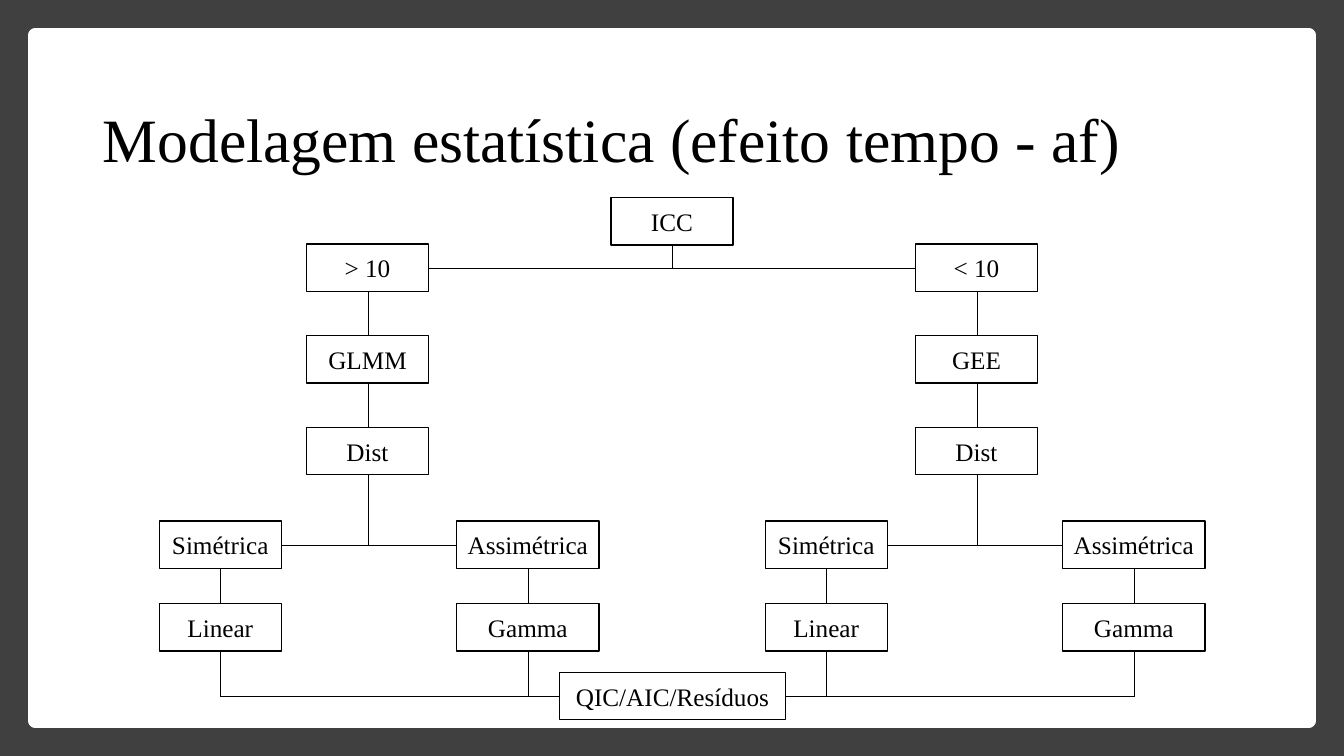
"""Build the slide with the decision tree for choosing a statistical model."""
from dataclasses import dataclass
from typing import Optional

import pptx
import pptx.dml.color
import pptx.enum.shapes
import pptx.enum.text
import pptx.oxml.ns
import pptx.shapes.autoshape
import pptx.slide
import pptx.text.text
import pptx.util
from lxml import etree

EMU_PER_PX = 9144
SLIDE_WIDTH, SLIDE_HEIGHT = 1333, 750


@dataclass(frozen=True)
class Theme:
    font: str = "Times New Roman"
    ink: str = "000000"
    frame: str = "404040"
    paper: str = "FFFFFF"
    title_size: int = 44
    node_size: int = 18
    paper_line: float = 10
    node_line: float = 1
    link_line: float = 0.5


THEME = Theme()


@dataclass(frozen=True)
class Node:
    text: str
    left: int
    top: int
    width: int = 121
    height: int = 47

    @property
    def right(self) -> int:
        return self.left + self.width

    @property
    def bottom(self) -> int:
        return self.top + self.height

    @property
    def center(self) -> int:
        return self.left + (self.width + 1) // 2

    @property
    def middle(self) -> int:
        return self.top + (self.height + 1) // 2


@dataclass(frozen=True)
class Branch:
    condition: str
    model: str
    left: int
    symmetric_left: int


BRANCHES = (Branch("> 10", "GLMM", 304, 158), Branch("< 10", "GEE", 908, 759))
STEP_TOPS = (242, 333, 424)
SPLIT_TOP, FAMILY_TOP = 517, 599
ASYMMETRIC_OFFSET, ASYMMETRIC_WIDTH = 295, 141


def px(length: int) -> pptx.util.Emu:
    return pptx.util.Emu(length * EMU_PER_PX)


def rgb(color: str) -> pptx.dml.color.RGBColor:
    return pptx.dml.color.RGBColor.from_string(color)


def write_text(frame: pptx.text.text.TextFrame, text: str, *, size: int,
               align: pptx.enum.text.PP_ALIGN, wrap: bool = False,
               line_spacing: float = 1.0) -> None:
    frame.word_wrap = wrap
    frame.vertical_anchor = pptx.enum.text.MSO_ANCHOR.MIDDLE
    paragraph = frame.paragraphs[0]
    paragraph.alignment = align
    paragraph.line_spacing = line_spacing
    run = paragraph.add_run()
    run.text = text
    run.font.name = THEME.font
    run.font.size = pptx.util.Pt(size)
    run.font.color.rgb = rgb(THEME.ink)


def add_rectangle(slide: pptx.slide.Slide, left: int, top: int, width: int, height: int, *,
                  fill: Optional[str] = None, line: Optional[str] = None,
                  line_width: float = 1) -> pptx.shapes.autoshape.Shape:
    shape = slide.shapes.add_shape(pptx.enum.shapes.MSO_SHAPE.RECTANGLE,
                                   px(left), px(top), px(width), px(height))
    shape.shadow.inherit = False
    if fill:
        shape.fill.solid()
        shape.fill.fore_color.rgb = rgb(fill)
    else:
        shape.fill.background()
    if line:
        shape.line.color.rgb = rgb(line)
        shape.line.width = pptx.util.Pt(line_width)
    else:
        shape.line.fill.background()
    return shape


def add_node(slide: pptx.slide.Slide, node: Node) -> None:
    shape = add_rectangle(slide, node.left, node.top, node.width, node.height,
                          line=THEME.ink, line_width=THEME.node_line)
    write_text(shape.text_frame, node.text, size=THEME.node_size,
               align=pptx.enum.text.PP_ALIGN.CENTER)


def add_link(slide: pptx.slide.Slide, x1: int, y1: int, x2: int, y2: int) -> None:
    connector = slide.shapes.add_connector(pptx.enum.shapes.MSO_CONNECTOR.STRAIGHT,
                                           px(x1), px(y1), px(x2), px(y2))
    connector.line.color.rgb = rgb(THEME.ink)
    connector.line.width = pptx.util.Pt(THEME.link_line)
    etree.SubElement(connector.element.spPr, pptx.oxml.ns.qn("a:effectLst"))


def add_drop(slide: pptx.slide.Slide, node: Node, end: int) -> None:
    add_link(slide, node.center, node.bottom, node.center, end)


def add_branch(slide: pptx.slide.Slide, branch: Branch, end: int) -> tuple[Node, Node, Node]:
    texts = (branch.condition, branch.model, "Dist")
    steps = [Node(text, branch.left, top) for text, top in zip(texts, STEP_TOPS)]
    asymmetric_left = branch.symmetric_left + ASYMMETRIC_OFFSET
    symmetric = Node("Simétrica", branch.symmetric_left, SPLIT_TOP)
    linear = Node("Linear", branch.symmetric_left, FAMILY_TOP)
    asymmetric = Node("Assimétrica", asymmetric_left, SPLIT_TOP, ASYMMETRIC_WIDTH)
    gamma = Node("Gamma", asymmetric_left, FAMILY_TOP, ASYMMETRIC_WIDTH)
    for node in (*steps, symmetric, asymmetric, linear, gamma):
        add_node(slide, node)
    for step, drop_end in zip(steps, (*STEP_TOPS[1:], symmetric.middle)):
        add_drop(slide, step, drop_end)
    add_link(slide, symmetric.right, symmetric.middle, asymmetric.left, symmetric.middle)
    for split, family in ((symmetric, linear), (asymmetric, gamma)):
        add_drop(slide, split, family.top)
        add_drop(slide, family, end)
    return steps[0], linear, gamma


def main() -> None:
    presentation = pptx.Presentation()
    presentation.slide_width, presentation.slide_height = px(SLIDE_WIDTH), px(SLIDE_HEIGHT)
    slide = presentation.slides.add_slide(presentation.slide_layouts[6])

    add_rectangle(slide, 0, 0, SLIDE_WIDTH, SLIDE_HEIGHT, fill=THEME.frame)
    add_rectangle(slide, 35, 35, 1263, 680, fill=THEME.paper, line=THEME.paper,
                  line_width=THEME.paper_line)
    title = slide.shapes.add_textbox(px(92), px(69), px(1150), px(145))
    write_text(title.text_frame, "Modelagem estatística (efeito tempo - af)",
               size=THEME.title_size, align=pptx.enum.text.PP_ALIGN.LEFT,
               wrap=True, line_spacing=0.9)

    root = Node("ICC", 606, 196)
    criteria = Node("QIC/AIC/Resíduos", 555, 667, 224)
    add_node(slide, root)
    add_node(slide, criteria)
    (high, first, _), (low, _, last) = [
        add_branch(slide, branch, criteria.middle) for branch in BRANCHES]
    add_link(slide, high.right, high.middle, low.left, low.middle)
    add_drop(slide, root, high.middle)
    add_link(slide, first.center, criteria.middle, criteria.left, criteria.middle)
    add_link(slide, criteria.right, criteria.middle, last.center, criteria.middle)

    presentation.save("out.pptx")


if __name__ == "__main__":
    main()
